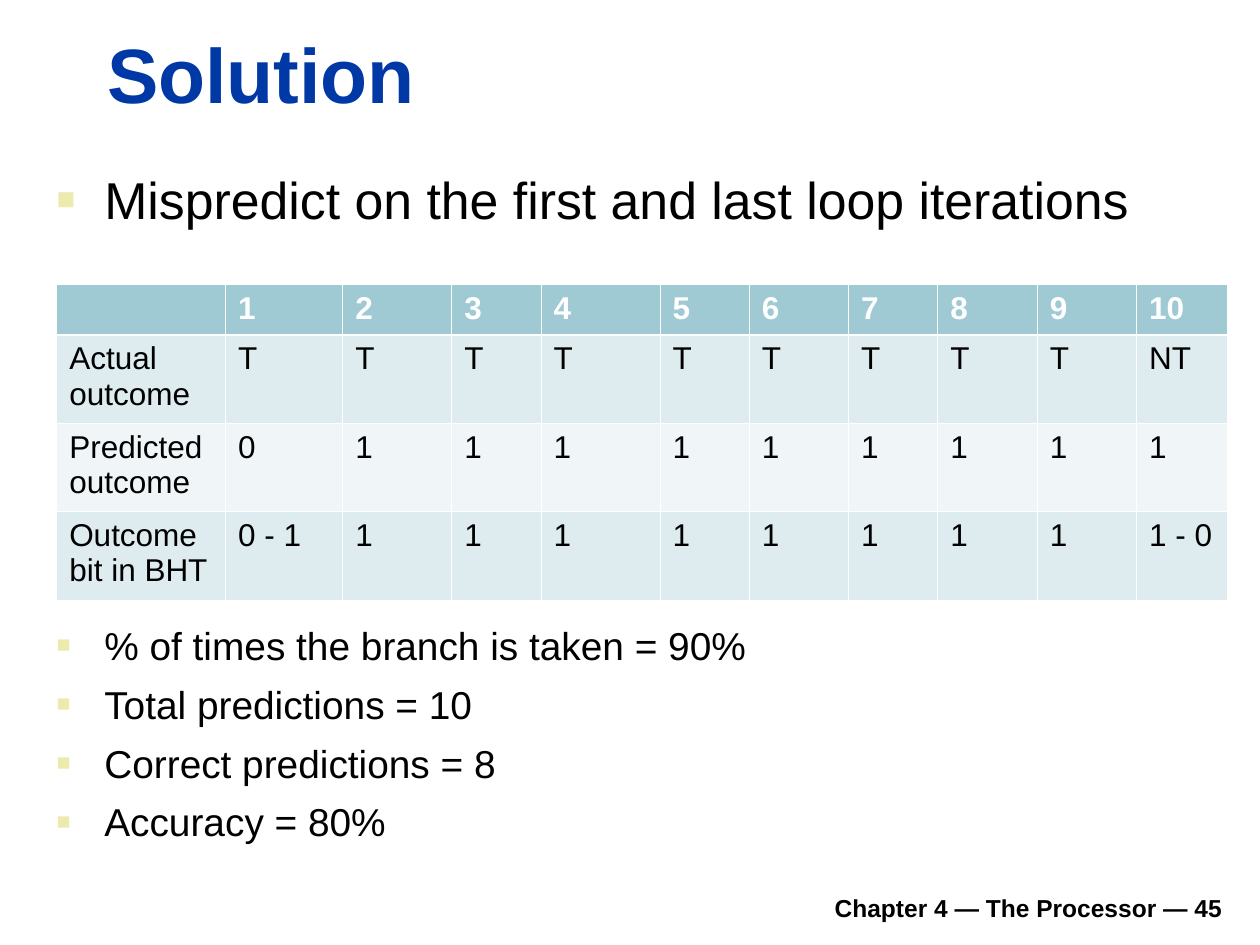
from lxml.etree import SubElement
from pptx import Presentation
from pptx.dml.color import RGBColor
from pptx.enum.text import MSO_ANCHOR as Anchor, MSO_AUTO_SIZE as AutoSize, PP_ALIGN as Align
from pptx.oxml.ns import qn
from pptx.util import Pt


def color(value):
    return RGBColor.from_string(value)


class SlideBuilder:
    """Hold the style and the current slide, and add each kind of element."""

    FONT = "Arial"
    TITLE, TEXT, BULLET = "0039A6", "000000", "ECEAAC"
    HEADER, BANDS, GRID = "9FCAD3", ("DFECEF", "F0F6F7"), "FFFFFF"
    INDENT = 27.2

    def __init__(self, slide):
        self.slide = slide

    def place(self, shape, left, top, width, height):
        shape.left, shape.top = Pt(left), Pt(top)
        shape.width, shape.height = Pt(width), Pt(height)

    def format_runs(self, paragraph, size, text_color, bold=False):
        for run in paragraph.runs:
            font = run.font
            font.name, font.size, font.bold = self.FONT, Pt(size), bold
            font.color.rgb = color(text_color)

    def title(self, text, *box):
        shape = self.slide.shapes.title
        self.place(shape, *box)
        frame = shape.text_frame
        frame.text = text
        frame.auto_size, frame.vertical_anchor = AutoSize.NONE, Anchor.BOTTOM
        paragraph = frame.paragraphs[0]
        paragraph.alignment = Align.LEFT
        self.format_runs(paragraph, 44, self.TITLE, True)

    def bullet(self, paragraph):
        properties = paragraph._p.get_or_add_pPr()
        properties.set("marL", str(Pt(self.INDENT)))
        properties.set("indent", str(-Pt(self.INDENT)))
        bullet_color = SubElement(properties, qn("a:buClr"))
        SubElement(bullet_color, qn("a:srgbClr"), val=self.BULLET)
        SubElement(properties, qn("a:buSzPct"), val="60000")
        SubElement(properties, qn("a:buFont"), typeface=self.FONT)
        SubElement(properties, qn("a:buChar"), char="■")

    def body(self, items, *box):
        shape = self.slide.placeholders[1]
        self.place(shape, *box)
        frame = shape.text_frame
        frame.text = "\n".join(text for text, size, space in items)
        frame.auto_size, frame.margin_top = AutoSize.NONE, Pt(7)
        for paragraph, (text, size, space) in zip(frame.paragraphs, items):
            self.bullet(paragraph)
            paragraph.space_before = Pt(space)
            self.format_runs(paragraph, size, self.TEXT)

    def footer(self, text, *box):
        shape = self.slide.shapes.add_textbox(0, 0, 0, 0)
        self.place(shape, *box)
        frame = shape.text_frame
        frame.text = text
        frame.word_wrap, frame.vertical_anchor = True, Anchor.BOTTOM
        paragraph = frame.paragraphs[0]
        paragraph.alignment = Align.RIGHT
        self.format_runs(paragraph, 14, self.TEXT, True)

    def borders(self, cell, widths):
        properties = cell._tc.get_or_add_tcPr()
        for position, (side, width) in enumerate(widths.items()):
            line = properties.makeelement(qn(f"a:ln{side}"), {"w": str(Pt(width))})
            fill = SubElement(line, qn("a:solidFill"))
            SubElement(fill, qn("a:srgbClr"), val=self.GRID)
            properties.insert(position, line)

    def table(self, rows, left, top, widths, heights):
        shape = self.slide.shapes.add_table(
            len(rows), len(widths), Pt(left), Pt(top), Pt(sum(widths)), Pt(sum(heights)))
        table = shape.table
        for column, width in zip(table.columns, widths):
            column.width = Pt(width)
        for row_index, (row, height, texts) in enumerate(zip(table.rows, heights, rows)):
            row.height = Pt(height)
            header = row_index == 0
            fill = self.HEADER if header else self.BANDS[(row_index - 1) % 2]
            sides = {"L": 0.5, "R": 0.5,
                     "T": 1.5 if row_index == 1 else 0.5, "B": 1.5 if header else 0.5}
            for cell, text in zip(row.cells, texts):
                cell.text = text
                cell.fill.solid()
                cell.fill.fore_color.rgb = color(fill)
                self.borders(cell, sides)
                self.format_runs(cell.text_frame.paragraphs[0], 18,
                                 self.GRID if header else self.TEXT, header)


def main():
    presentation = Presentation()
    presentation.slide_width, presentation.slide_height = Pt(720), Pt(540)
    builder = SlideBuilder(presentation.slides.add_slide(presentation.slide_layouts[1]))

    builder.title("Solution", 54, 11.5, 650, 60)
    builder.body([
        ("Mispredict on the first and last loop iterations", 29.6, 0),
        ("% of times the branch is taken = 90%", 22.2, 224),
        ("Total predictions = 10", 22.2, 7),
        ("Correct predictions = 8", 22.2, 7),
        ("Accuracy = 80%", 22.2, 7),
    ], 25.2, 88.6, 679.7, 402.5)
    builder.footer("Chapter 4 — The Processor — 45", 133.2, 502.6, 572.4, 28)
    builder.table(
        [
            ["", *(str(iteration) for iteration in range(1, 11))],
            ["Actual outcome", *["T"] * 9, "NT"],
            ["Predicted outcome", "0", *["1"] * 9],
            ["Outcome bit in BHT", "0 - 1", *["1"] * 8, "1 - 0"],
        ],
        32.4, 162.6,
        [96.5, 67, 62.3, 51, 68, 51, 56.7, 51, 57, 56.7, 52],
        [28.8, 50.5, 50.5, 50.5])
    presentation.save("out.pptx")


if __name__ == "__main__":
    main()
